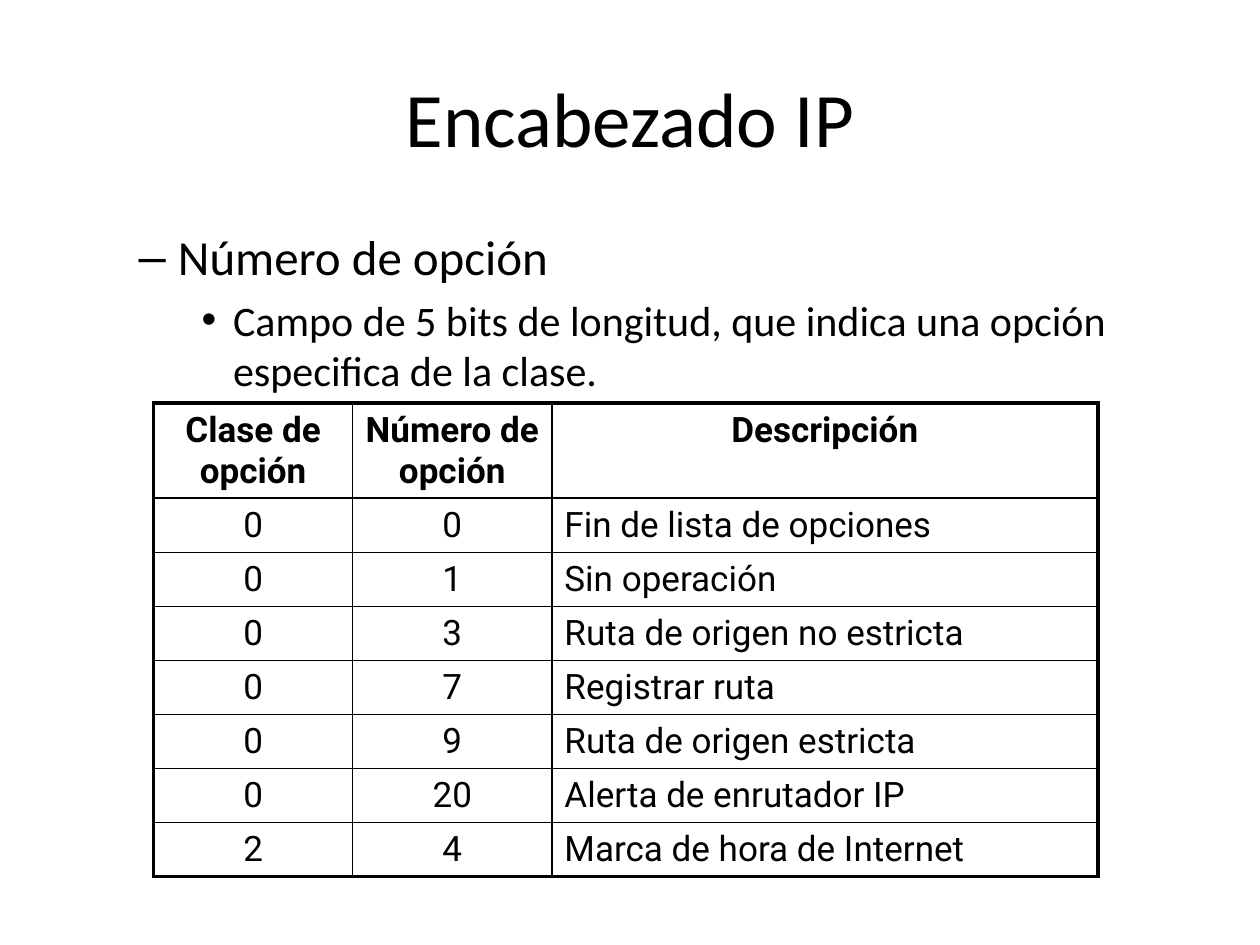
from lxml import etree
from pptx import Presentation
from pptx.dml.color import RGBColor
from pptx.enum import text
from pptx.oxml import ns
from pptx.util import Pt

TITLE = "Encabezado IP"
BULLETS = [
    (1, 28, "Número de opción"),
    (2, 24, "Campo de 5 bits de longitud, que indica una opción especifica de la clase."),
]
ROWS = [
    ("Clase de opción", "Número de opción", "Descripción"),
    ("0", "0", "Fin de lista de opciones"),
    ("0", "1", "Sin operación"),
    ("0", "3", "Ruta de origen no estricta"),
    ("0", "7", "Registrar ruta"),
    ("0", "9", "Ruta de origen estricta"),
    ("0", "20", "Alerta de enrutador IP"),
    ("2", "4", "Marca de hora de Internet"),
]
COLORS = {"ink": "000000"}
COLUMN_WIDTHS = (113.8, 113.8, 312)
HEADER_HEIGHT, ROW_HEIGHT = 54.2, 30.9
TABLE_LEFT, TABLE_TOP = 87.8, 230.4
OUTER_LINE, INNER_LINE = 2.25, 1


def add_text(paragraph, content, size, font_name, bold=False):
    run = paragraph.add_run()
    run.text = content
    run.font.size = Pt(size)
    run.font.name = font_name
    run.font.bold = bold
    run.font.color.rgb = RGBColor.from_string(COLORS["ink"])


def place(shape, left, top, width, height):
    shape.left, shape.top = Pt(left), Pt(top)
    shape.width, shape.height = Pt(width), Pt(height)


def set_borders(cell, outer_edges):
    properties = cell._tc.get_or_add_tcPr()
    for edge, is_outer in outer_edges.items():
        width = Pt(OUTER_LINE if is_outer else INNER_LINE)
        line = etree.SubElement(properties, ns.qn(f"a:{edge}"), w=str(width))
        fill = etree.SubElement(line, ns.qn("a:solidFill"))
        etree.SubElement(fill, ns.qn("a:srgbClr"), val=COLORS["ink"])


def add_options_table(slide):
    height = HEADER_HEIGHT + ROW_HEIGHT * (len(ROWS) - 1)
    table = slide.shapes.add_table(
        len(ROWS), len(COLUMN_WIDTHS), Pt(TABLE_LEFT), Pt(TABLE_TOP),
        Pt(sum(COLUMN_WIDTHS)), Pt(height),
    ).table
    table.first_row = table.horz_banding = False
    for column, width in zip(table.columns, COLUMN_WIDTHS):
        column.width = Pt(width)
    last_row, last_column = len(ROWS) - 1, len(COLUMN_WIDTHS) - 1
    for r, values in enumerate(ROWS):
        table.rows[r].height = Pt(ROW_HEIGHT if r else HEADER_HEIGHT)
        for c, value in enumerate(values):
            cell = table.cell(r, c)
            set_borders(cell, {
                "lnL": c == 0, "lnR": c == last_column,
                "lnT": r == 0, "lnB": r == last_row,
            })
            cell.fill.background()
            paragraph = cell.text_frame.paragraphs[0]
            is_description = r > 0 and c == last_column
            paragraph.alignment = text.PP_ALIGN.LEFT if is_description else text.PP_ALIGN.CENTER
            add_text(paragraph, value, 20, "Roboto", bold=r == 0)


def main():
    presentation = Presentation()
    presentation.slide_width, presentation.slide_height = Pt(720), Pt(540)
    slide = presentation.slides.add_slide(presentation.slide_layouts[1])

    title = slide.shapes.title
    place(title, 36, 21.6, 648, 90)
    title.text_frame.vertical_anchor = text.MSO_ANCHOR.MIDDLE
    heading = title.text_frame.paragraphs[0]
    heading.alignment = text.PP_ALIGN.CENTER
    add_text(heading, TITLE, 44, "Calibri")

    body = slide.placeholders[1]
    place(body, 36, 126, 648, 356.4)
    frame = body.text_frame
    frame.auto_size = text.MSO_AUTO_SIZE.NONE
    for index, (level, size, content) in enumerate(BULLETS):
        paragraph = frame.add_paragraph() if index else frame.paragraphs[0]
        paragraph.level = level
        paragraph.space_before = Pt(0.2 * size if index else 0)
        add_text(paragraph, content, size, "Calibri")

    add_options_table(slide)
    presentation.save("out.pptx")


if __name__ == "__main__":
    main()
